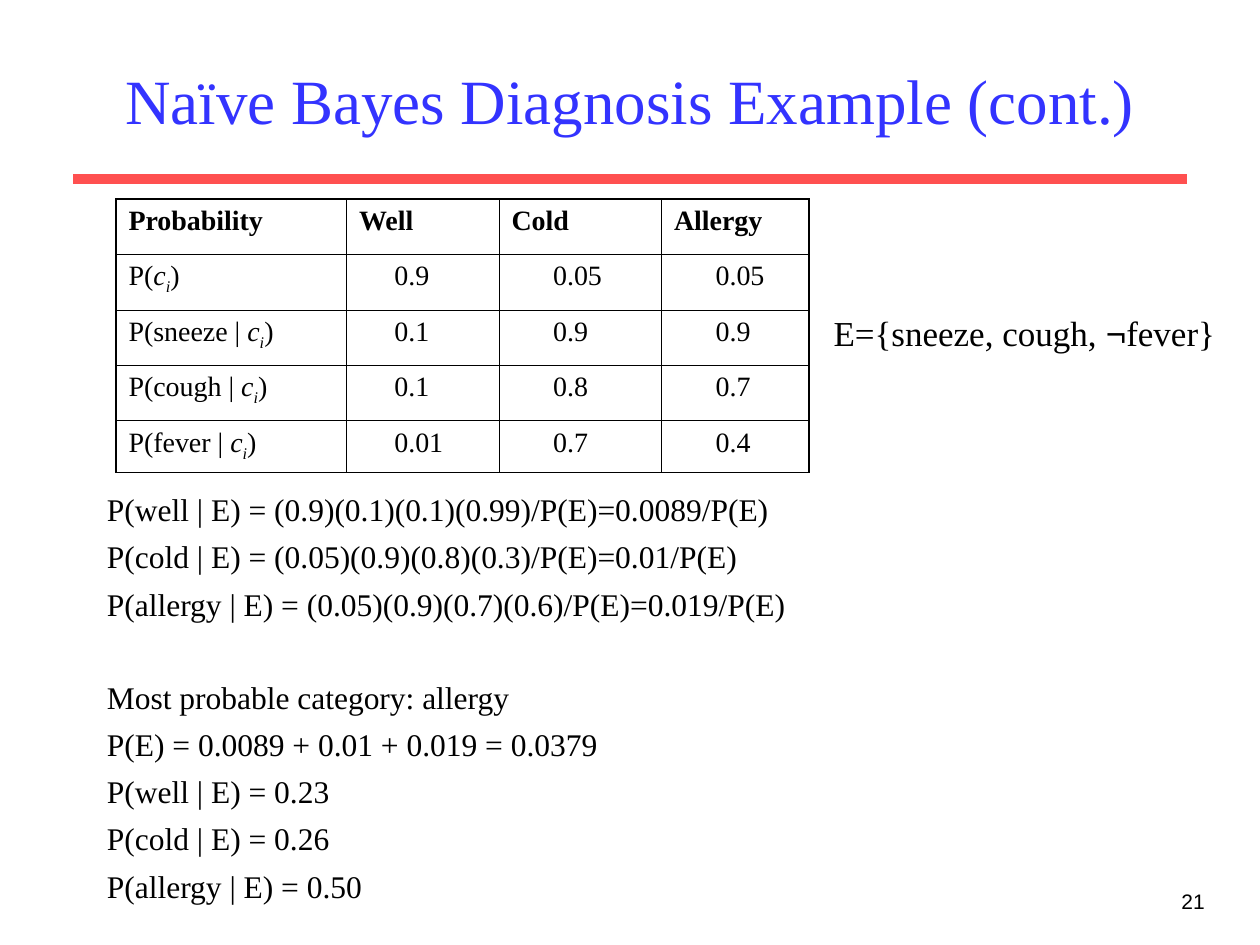
import pptx
import pptx.util
import pptx.dml.color
import pptx.enum.shapes
import pptx.enum.text
import lxml.etree

Inches, Pt = pptx.util.Inches, pptx.util.Pt
RGB = pptx.dml.color.RGBColor.from_string
ALIGN, ANCHOR = pptx.enum.text.PP_ALIGN, pptx.enum.text.MSO_ANCHOR
NS = "{http://schemas.openxmlformats.org/drawingml/2006/main}"

theme = {
    "ink": "000000", "title": "3333FF", "rule": "FF5050",
    "serif": "Times New Roman", "sans": "Arial",
    "head": 36, "event": 20, "body": 18, "cell": 16, "page": 12,
    "thin": 0.45, "thick": 1.08,
}


def add_run(para, text, size, color="ink", face="serif", base=None, **extra):
    run = para.add_run()
    run.text = text
    form = {"size": Pt(theme[size]), "name": theme[face], **extra}
    for key, value in form.items():
        setattr(run.font, key, value)
    run.font.color.rgb = RGB(theme[color])
    if base:
        run.font._element.set("baseline", str(base))


def add_box(left, top, width, height, align=ALIGN.LEFT, **form):
    box = slide.shapes.add_textbox(
        Inches(left), Inches(top), Inches(width), Inches(height))
    for key, value in {"word_wrap": True, **form}.items():
        setattr(box.text_frame, key, value)
    box.text_frame.paragraphs[0].alignment = align
    return box.text_frame


deck = pptx.Presentation()
deck.slide_width, deck.slide_height = Inches(10), Inches(7.5)
slide = deck.slides.add_slide(deck.slide_layouts[6])

# Title and the rule below it
frame = add_box(0.75, 0.25, 8.5, 1.08, ALIGN.CENTER,
                vertical_anchor=ANCHOR.MIDDLE)
add_run(frame.paragraphs[0], "Naïve Bayes Diagnosis Example (cont.)",
        "head", "title")
rule = slide.shapes.add_connector(
    pptx.enum.shapes.MSO_CONNECTOR.STRAIGHT,
    Inches(0.58), Inches(1.42), Inches(9.42), Inches(1.42))
rule.line.color.rgb = RGB(theme["rule"])
rule.line.width = Pt(6)
lxml.etree.SubElement(rule._element.spPr, NS + "effectLst")

# Probability table
heads = ["Probability", "Well", "Cold", "Allergy"]
odds = [
    ("P(", "0.9", "0.05", "0.05"),
    ("P(sneeze | ", "0.1", "0.9", "0.9"),
    ("P(cough | ", "0.1", "0.8", "0.7"),
    ("P(fever | ", "0.01", "0.7", "0.4"),
]
widths = [1.83, 1.21, 1.29, 1.17]
heights = [0.44] * 4 + [0.41]
insets = [0.1, 0.38, 0.43, 0.43]
rows, cols = len(heights), len(widths)
grid = slide.shapes.add_table(
    rows, cols, Inches(0.92), Inches(1.58),
    Inches(sum(widths)), Inches(sum(heights))).table
grid.first_row = grid.horz_banding = False
for col, width in zip(grid.columns, widths):
    col.width = Inches(width)
for row, height in zip(grid.rows, heights):
    row.height = Inches(height)

for r, line in enumerate([heads] + odds):
    for c, text in enumerate(line):
        cell = grid.cell(r, c)
        para = cell.text_frame.paragraphs[0]
        add_run(para, text, "cell", bold=r == 0)
        if r and c == 0:
            add_run(para, "c", "cell", italic=True)
            add_run(para, "i", "cell", italic=True, base=-25000)
            add_run(para, ")", "cell")
        if r:
            cell.margin_left = Inches(insets[c])

        # Borders: thick around the table, thin inside
        props = cell._tc.get_or_add_tcPr()
        outer = {"lnL": c == 0, "lnR": c == cols - 1,
                 "lnT": r == 0, "lnB": r == rows - 1}
        for side, edge in outer.items():
            width = Pt(theme["thick" if edge else "thin"])
            ln = lxml.etree.SubElement(props, NS + side, w=str(int(width)))
            fill = lxml.etree.SubElement(ln, NS + "solidFill")
            lxml.etree.SubElement(fill, NS + "srgbClr", val=theme["ink"])
        cell.fill.background()

# Observed evidence
frame = add_box(6.51, 2.42, 3.24, 0.44, ALIGN.CENTER, word_wrap=False)
for text, face in [("E={sneeze, cough, ", "serif"), ("¬", "sans"),
                   ("fever}", "serif")]:
    add_run(frame.paragraphs[0], text, "event", face=face)

# Posterior sums, with a wider gap before the outcome
groups = [
    ["P(well | E) = (0.9)(0.1)(0.1)(0.99)/P(E)=0.0089/P(E)",
     "P(cold | E) = (0.05)(0.9)(0.8)(0.3)/P(E)=0.01/P(E)",
     "P(allergy | E) = (0.05)(0.9)(0.7)(0.6)/P(E)=0.019/P(E)"],
    ["Most probable category: allergy",
     "P(E) = 0.0089 + 0.01 + 0.019 = 0.0379",
     "P(well | E) = 0.23",
     "P(cold | E) = 0.26",
     "P(allergy | E) = 0.50"],
]
frame = add_box(0.75, 3.84, 8.75, 3.49)
for g, group in enumerate(groups):
    for n, text in enumerate(group):
        if g == n == 0:
            para = frame.paragraphs[0]
        else:
            para = frame.add_paragraph()
            para.space_before = Pt(5.4 if n else 31.5)
        add_run(para, text, "body")

# Page number
frame = add_box(7.58, 7, 2.08, 0.5, ALIGN.RIGHT)
add_run(frame.paragraphs[0], "21", "page", face="sans")

deck.save("out.pptx")
